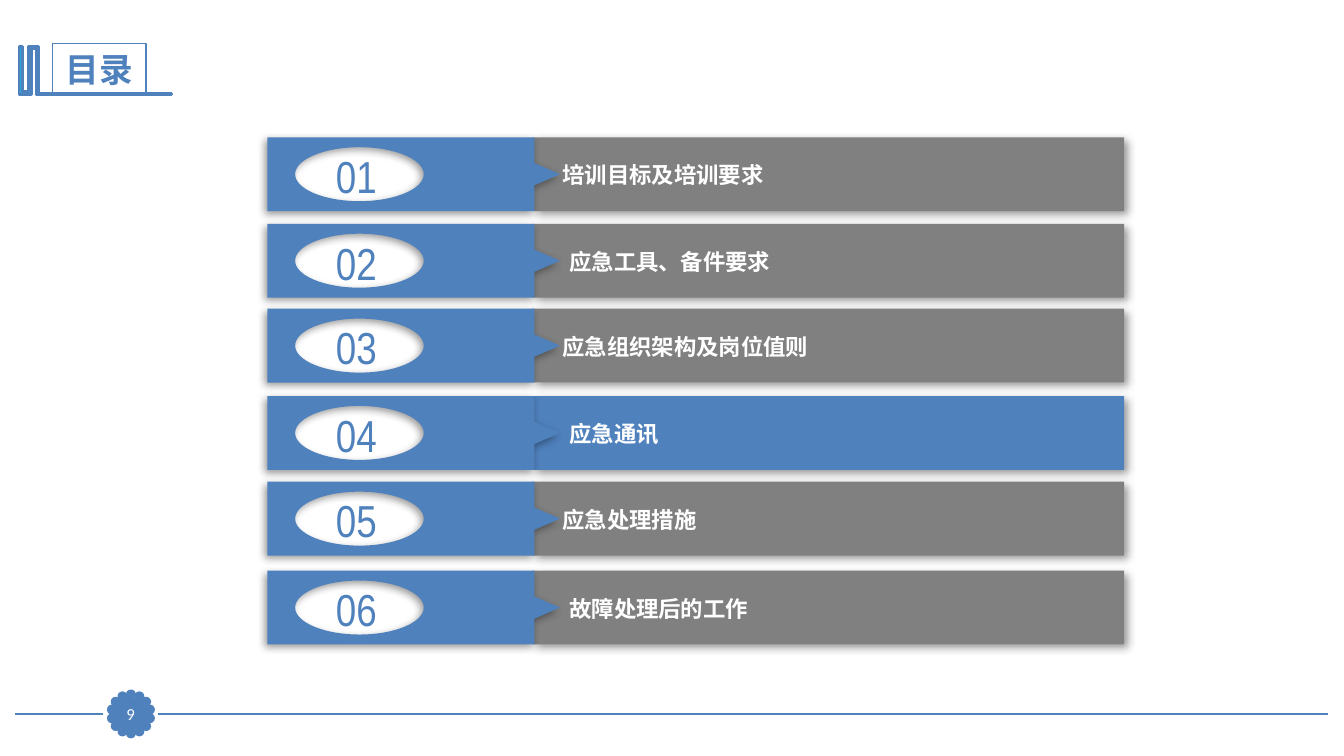
from dataclasses import dataclass
from math import cos, pi, sin

from lxml.etree import SubElement
from pptx import Presentation
from pptx.dml.color import RGBColor
from pptx.enum.shapes import MSO_CONNECTOR as Connector, MSO_SHAPE as Shape
from pptx.enum.text import MSO_ANCHOR as Anchor, MSO_AUTO_SIZE as AutoSize, PP_ALIGN as Align
from pptx.oxml.ns import qn
from pptx.util import Cm, Pt


@dataclass(frozen=True)
class Theme:
    blue: str = "4F81BD"
    cyan: str = "28A9D6"
    gray: str = "808080"
    white: str = "FFFFFF"
    black: str = "000000"
    narrow: str = "Arial Narrow"
    body: str = "Calibri"
    title_size: int = 24
    number_size: int = 32
    label_size: int = 16
    page_size: int = 12


THEME = Theme()
TOPICS = [
    (3.46, "培训目标及培训要求"),
    (5.64, "应急工具、备件要求"),
    (7.78, "应急组织架构及岗位值则"),
    (9.98, "应急通讯"),
    (12.14, "应急处理措施"),
    (14.38, "故障处理后的工作"),
]
CURRENT = 4


def write(shape, text, *, size, color, font=THEME.body, bold=False, align=Align.LEFT, inset=None):
    frame = shape.text_frame
    frame.word_wrap = True
    frame.auto_size = AutoSize.NONE
    frame.vertical_anchor = Anchor.MIDDLE
    if inset is not None:
        frame.margin_left = frame.margin_right = inset
        frame.margin_top = frame.margin_bottom = inset
    para = frame.paragraphs[0]
    para.alignment = align
    span = para.add_run()
    span.text = text
    span.font.size = Pt(size)
    span.font.name = font
    span.font.bold = bold
    span.font.color.rgb = RGBColor.from_string(color)


def paint(shape, fill, line=None, width=0.75):
    shape.shadow.inherit = False
    shape.fill.solid()
    shape.fill.fore_color.rgb = RGBColor.from_string(fill)
    if line:
        shape.line.color.rgb = RGBColor.from_string(line)
        shape.line.width = Pt(width)
    else:
        shape.line.fill.background()


def cast_shadow(shape, angle):
    effects = shape._element.spPr.find(qn("a:effectLst"))
    shadow = SubElement(effects, qn("a:outerShdw"), blurRad=str(Pt(6)), dist=str(Pt(3)),
                        dir=str(angle * 60000), algn="ctr", rotWithShape="0")
    color = SubElement(shadow, qn("a:srgbClr"), val=THEME.black)
    SubElement(color, qn("a:alpha"), val="40000")


def add_box(page, kind, left, top, width, height):
    return page.shapes.add_shape(kind, Cm(left), Cm(top), Cm(width), Cm(height))


def add_text(page, left, top, width, height, text, **style):
    box = page.shapes.add_textbox(Cm(left), Cm(top), Cm(width), Cm(height))
    write(box, text, **style)


def add_outline(page, left, top, points):
    placed = [(Cm(left + x), Cm(top + y)) for x, y in points]
    builder = page.shapes.build_freeform(*placed[0])
    builder.add_line_segments(placed[1:], close=True)
    return builder.convert_to_shape()


def cut_oval(shape, x, y, radius_x, radius_y):
    outline = next(shape._element.iter(qn("a:path")))
    bend = 0.55

    def add_step(name, *points):
        step = SubElement(outline, qn(name))
        for across, down in points:
            SubElement(step, qn("a:pt"), x=str(Cm(x + across * radius_x)),
                       y=str(Cm(y + down * radius_y)))

    add_step("a:moveTo", (0, -1))
    for across, down in ((0, -1), (-1, 0), (0, 1), (1, 0)):
        end = (down, -across)
        add_step("a:cubicBezTo",
                 (across + bend * end[0], down + bend * end[1]),
                 (end[0] + bend * across, end[1] + bend * down), end)
    add_step("a:close")


def move_to_layout(page, shape):
    tree = page.slide_layout.shapes._spTree
    shape._element._nvXxPr.cNvPr.id = 100 + len(tree)
    tree.append(shape._element)


def build_heading(page, left, top, width, height):
    bookmark = add_outline(page, left, top, [
        (0.46, 0.08), (0.49, 0.08), (0.49, 1.26), (3.85, 1.26), (3.85, 1.29), (0.43, 1.29),
        (0.43, 0.13), (0.31, 0.13), (0.31, 1.29), (0, 1.29), (0, 0.08), (0.08, 0.08),
        (0.08, 1.22), (0.23, 1.22), (0.23, 0.08),
    ])
    paint(bookmark, THEME.cyan, THEME.blue, 2)
    move_to_layout(page, bookmark)
    title = page.shapes.title
    title.left, title.top = Cm(left + 0.84), Cm(top)
    title.width, title.height = Cm(width), Cm(height)
    title.line.color.rgb = RGBColor.from_string(THEME.blue)
    title.line.width = Pt(0.75)
    write(title, "目录", size=THEME.title_size, color=THEME.blue, font=THEME.narrow,
          bold=True, align=Align.CENTER)


def build_topic(page, left, top, width, height, number, topic):
    tag_width = 6.73
    tip = 7.37
    bar_left = 6.68
    middle = height / 2
    bar = add_box(page, Shape.RECTANGLE, left + bar_left, top, width - bar_left, height)
    paint(bar, THEME.blue if number == CURRENT else THEME.gray)
    cast_shadow(bar, 45)
    tag = add_outline(page, left, top, [
        (0, 0), (tag_width, 0), (tag_width, middle - 0.28), (tip, middle),
        (tag_width, middle + 0.28), (tag_width, height), (0, height),
    ])
    cut_oval(tag, 2.32, middle, 1.62, 0.68)
    paint(tag, THEME.blue)
    cast_shadow(tag, 135)
    add_text(page, left + 1.06, top + 0.15, 2.36, 1.63, f"{number:02}", size=THEME.number_size,
             color=THEME.blue, font=THEME.narrow, align=Align.CENTER)
    label_left = 7.19 if number % 2 else 7.36
    add_text(page, left + label_left, top + 0.48, 14.25, 0.94, topic, size=THEME.label_size,
             color=THEME.white, bold=True)


def build_agenda(page, left, width, row_height):
    for number, (top, topic) in enumerate(TOPICS, 1):
        build_topic(page, left, top, width, row_height, number, topic)


def build_footer(page, left, middle, width):
    badge_x = left + 2.91
    for start, end in ((left, badge_x - 0.7), (badge_x + 0.67, left + width)):
        rule = page.shapes.add_connector(Connector.STRAIGHT, Cm(start), Cm(middle),
                                         Cm(end), Cm(middle))
        rule.line.color.rgb = RGBColor.from_string(THEME.blue)
        rule.line.width = Pt(1.25)
        SubElement(rule._element.spPr, qn("a:effectLst"))
        move_to_layout(page, rule)
    dot, orbit, petals = 0.18, 0.49, 14
    for step in range(petals):
        angle = 2 * pi * step / petals - pi / 2
        petal = add_box(page, Shape.OVAL, badge_x + orbit * cos(angle) - dot / 2,
                        middle + orbit * sin(angle) - dot / 2, dot, dot)
        paint(petal, THEME.blue, THEME.blue, 2)
        move_to_layout(page, petal)
    badge = add_box(page, Shape.RECTANGLE, badge_x - 0.41, middle - 0.4, 0.81, 0.79)
    paint(badge, THEME.blue, THEME.blue)
    write(badge, "9", size=THEME.page_size, color=THEME.white, align=Align.CENTER, inset=0)


def main():
    deck = Presentation()
    deck.slide_width, deck.slide_height = Cm(33.87), Cm(19.05)
    page = deck.slides.add_slide(deck.slide_layouts.get_by_name("Title Only"))
    build_footer(page, 0.39, 17.99, 33.08)
    build_heading(page, 0.48, 1.09, 2.36, 1.3)
    build_agenda(page, 6.74, 21.59, 1.86)
    deck.save("out.pptx")


if __name__ == "__main__":
    main()
